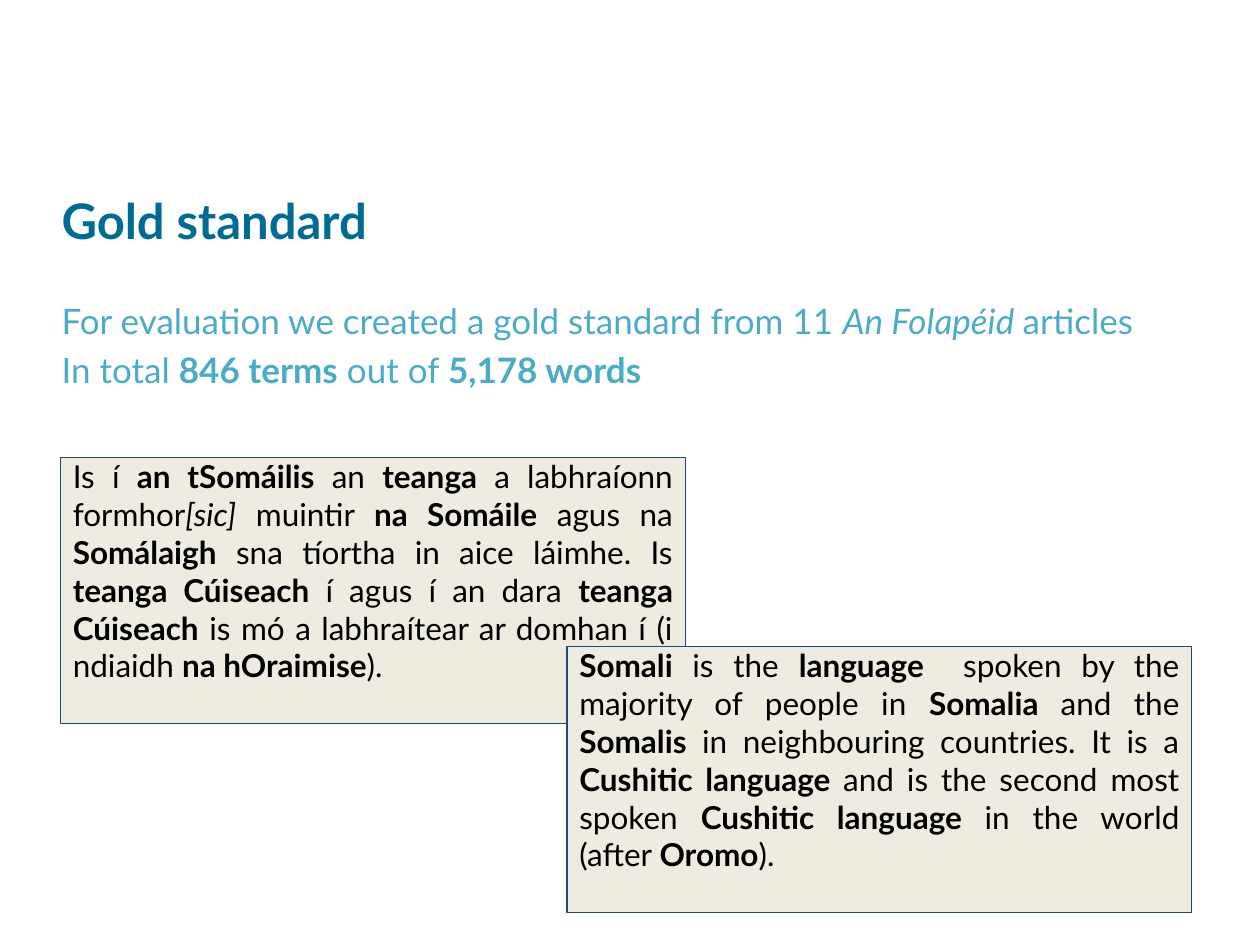
"""Build the gold standard slide with an annotated example and its translation."""
import pptx
import pptx.dml.color
import pptx.enum.shapes
import pptx.enum.text
import pptx.util
from pptx.util import Inches


def color(value):
    return pptx.dml.color.RGBColor.from_string(value)


def add_runs(paragraph, runs, size, fill):
    for text, style in runs:
        run = paragraph.add_run()
        run.text = text
        run.font.name = "Lato"
        run.font.size = pptx.util.Pt(size)
        run.font.bold = style == "bold"
        run.font.italic = style == "italic"
        run.font.color.rgb = color(fill)


presentation = pptx.Presentation()
presentation.slide_width = Inches(10)
presentation.slide_height = Inches(7.5)
slide = presentation.slides.add_slide(presentation.slide_layouts[6])

title = [[("Gold standard", "bold")]]
summary = [
    [
        ("For evaluation we created a gold standard from 11 ", ""),
        ("An Folapéid ", "italic"),
        ("articles", ""),
    ],
    [
        ("In total ", ""),
        ("846 terms", "bold"),
        (" out of ", ""),
        ("5,178 words", "bold"),
    ],
]
text_blocks = [
    (1.41, 0.7, title, 28, "006B94", 0),
    (2.28, 1.61, summary, 20, "4BACC6", 4),
]
for top, height, paragraphs, size, fill, space in text_blocks:
    box = slide.shapes.add_textbox(Inches(0.39), Inches(top), Inches(9.3), Inches(height))
    frame = box.text_frame
    frame.word_wrap = True
    frame.margin_left = frame.margin_right = Inches(0.1)
    frame.margin_top = frame.margin_bottom = Inches(0.1)
    for index, runs in enumerate(paragraphs):
        paragraph = frame.add_paragraph() if index else frame.paragraphs[0]
        paragraph.space_before = pptx.util.Pt(space)
        add_runs(paragraph, runs, size, fill)

irish = [
    ("Is í ", ""),
    ("an tSomáilis", "bold"),
    (" an ", ""),
    ("teanga", "bold"),
    (" a labhraíonn formhor", ""),
    ("[sic]", "italic"),
    (" muintir ", ""),
    ("na Somáile", "bold"),
    (" agus na ", ""),
    ("Somálaigh", "bold"),
    (" sna tíortha in aice láimhe. Is ", ""),
    ("teanga Cúiseach", "bold"),
    (" í agus í an dara ", ""),
    ("teanga Cúiseach", "bold"),
    (" is mó a labhraítear ar domhan í (i ndiaidh ", ""),
    ("na hOraimise", "bold"),
    (").", ""),
]
english = [
    ("Somali ", "bold"),
    ("is the ", ""),
    ("language ", "bold"),
    (" spoken by the majority of people in ", ""),
    ("Somalia ", "bold"),
    ("and the ", ""),
    ("Somalis ", "bold"),
    ("in neighbouring countries. It is a ", ""),
    ("Cushitic language ", "bold"),
    ("and is the second most spoken ", ""),
    ("Cushitic language ", "bold"),
    ("in the world (after ", ""),
    ("Oromo", "bold"),
    (").", ""),
]
for left, top, runs in [(0.48, 3.63, irish), (4.5, 5.13, english)]:
    panel = slide.shapes.add_shape(
        pptx.enum.shapes.MSO_SHAPE.RECTANGLE,
        Inches(left), Inches(top), Inches(4.96), Inches(2.11),
    )
    panel.shadow.inherit = False
    panel.fill.solid()
    panel.fill.fore_color.rgb = color("EEECE1")
    panel.line.color.rgb = color("1F497D")
    panel.line.width = pptx.util.Pt(0.75)
    frame = panel.text_frame
    frame.word_wrap = True
    frame.vertical_anchor = pptx.enum.text.MSO_ANCHOR.TOP
    frame.margin_left = frame.margin_right = Inches(0.1)
    frame.margin_top = frame.margin_bottom = 0
    frame.paragraphs[0].alignment = pptx.enum.text.PP_ALIGN.JUSTIFY
    add_runs(frame.paragraphs[0], runs, 18, "000000")

presentation.save("out.pptx")
